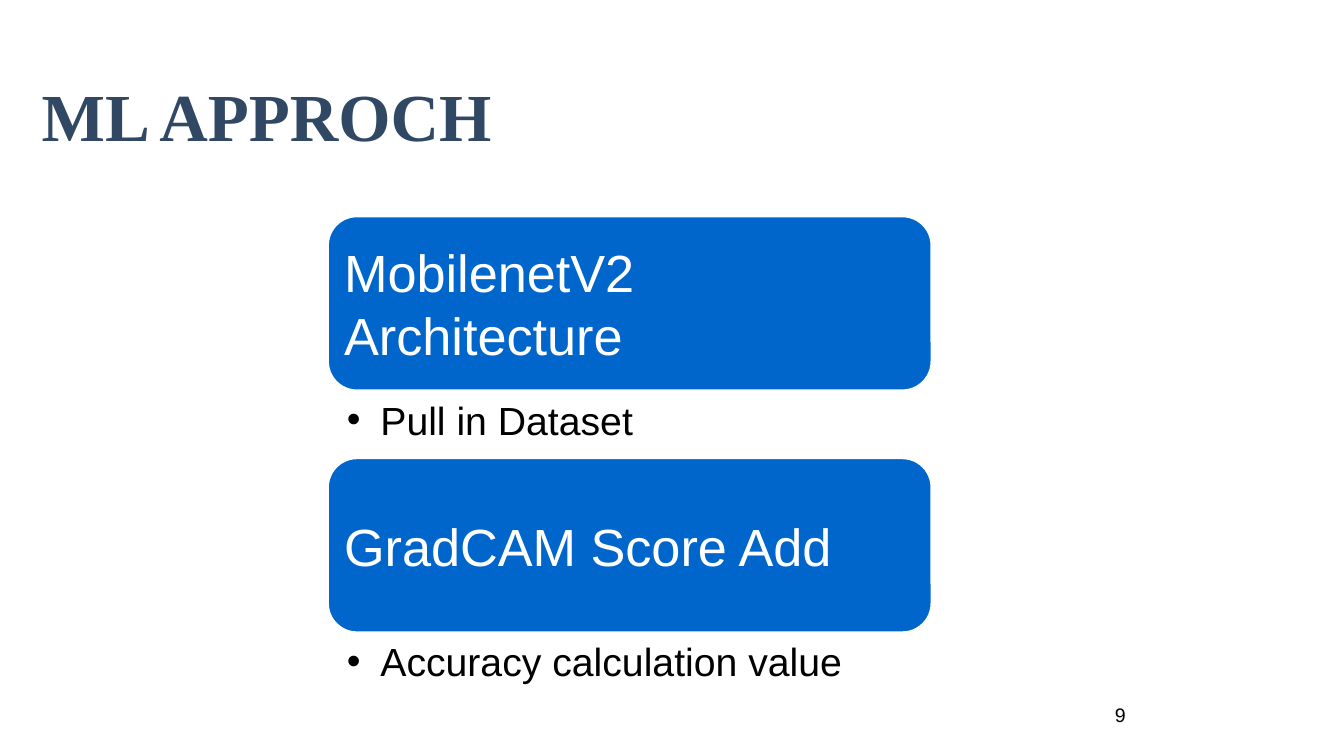
from pptx import Presentation
from pptx.dml.color import RGBColor
from pptx.enum.shapes import MSO_SHAPE
from pptx.enum.text import MSO_ANCHOR, PP_ALIGN
from pptx.oxml import parse_xml
from pptx.oxml.ns import nsdecls
from pptx.util import Inches, Pt

NAVY = RGBColor(0x31, 0x48, 0x64)
BLUE = RGBColor(0x00, 0x66, 0xCC)
BLACK = RGBColor(0x00, 0x00, 0x00)
WHITE = RGBColor(0xFF, 0xFF, 0xFF)

CELL = Inches(0.1)
STEPS = [
    ("MobilenetV2 Architecture", "Pull in Dataset"),
    ("GradCAM Score Add", "Accuracy calculation value"),
]


def write(frame, text, font="Arial", size=28, color=BLACK, bold=False,
          align=PP_ALIGN.LEFT, anchor=MSO_ANCHOR.MIDDLE,
          pads=(0.04, 0.04, 0.04, 0.04)):
    frame.word_wrap = True
    frame.vertical_anchor = anchor
    (frame.margin_left, frame.margin_top,
     frame.margin_right, frame.margin_bottom) = map(Inches, pads)
    para = frame.paragraphs[0]
    para.alignment = align
    run = para.add_run()
    run.text = text
    run.font.name = font
    run.font.size = Pt(size)
    run.font.bold = bold
    run.font.color.rgb = color
    return para


class Deck:
    def __init__(self, cols, rows):
        self.show = Presentation()
        self.show.slide_width = round(cols * CELL)
        self.show.slide_height = round(rows * CELL)
        self.slide = self.show.slides.add_slide(self.show.slide_layouts[6])

    def place(self, *spans):
        return [round(span * CELL) for span in spans]

    def label(self, spot, text, **style):
        box = self.slide.shapes.add_textbox(*self.place(*spot))
        return write(box.text_frame, text, **style)

    def card(self, spot, text):
        card = self.slide.shapes.add_shape(
            MSO_SHAPE.ROUNDED_RECTANGLE, *self.place(*spot))
        card.shadow.inherit = False
        card.fill.solid()
        card.fill.fore_color.rgb = BLUE
        card.line.color.rgb = WHITE
        card.line.width = Pt(1)
        self.label(spot, text, color=WHITE, pads=(0.12,) * 4)

    def bullet(self, spot, text):
        para = self.label(spot, text, size=21, anchor=MSO_ANCHOR.TOP,
                          pads=(0.14, 0.04, 0.22, 0.04))
        para.level = 1
        props = para._p.get_or_add_pPr()
        props.set("marL", str(Inches(0.25)))
        props.set("indent", str(-Inches(0.25)))
        props.append(parse_xml(f'<a:buFont {nsdecls("a")} typeface="Arial"/>'))
        props.append(parse_xml(f'<a:buChar {nsdecls("a")} char="•"/>'))


def main():
    deck = Deck(100, 56.25)
    deck.label((2.7, 2.6, 94.5, 11.8), "ML APPROCH", size=36,
               font="Times New Roman", color=NAVY, bold=True)
    deck.label((71.7, 51.2, 23.3, 3.9), "9", size=10.5, align=PP_ALIGN.CENTER)
    left, top, wide, tall, pitch = 24.4, 16.1, 44.9, 12.95, 18
    for step, (head, note) in enumerate(STEPS):
        row = top + step * pitch
        deck.card((left, row, wide, tall), head)
        deck.bullet((left, row + tall, wide, pitch - tall), note)
    deck.show.save("out.pptx")


if __name__ == "__main__":
    main()
